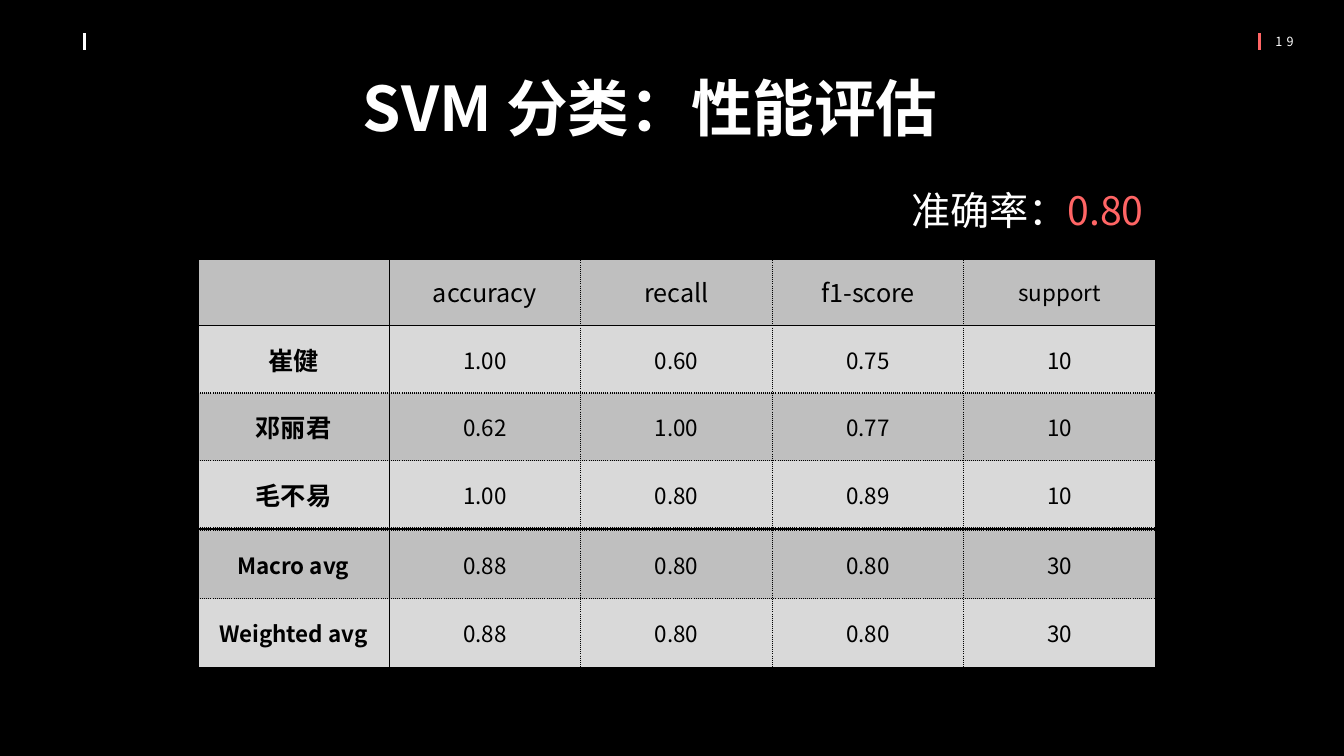
import pptx
import pptx.util
import pptx.dml.color
import pptx.enum.shapes
import pptx.enum.text
import pptx.oxml
import pptx.oxml.ns
from dataclasses import dataclass

Inches = pptx.util.Inches
ALIGN = pptx.enum.text.PP_ALIGN
MIDDLE = pptx.enum.text.MSO_ANCHOR.MIDDLE
GROW = pptx.enum.text.MSO_AUTO_SIZE.SHAPE_TO_FIT_TEXT


@dataclass(frozen=True)
class Theme:
    font: str = "Noto Sans CJK SC"
    black: str = "000000"
    white: str = "FFFFFF"
    coral: str = "FF6565"
    bands: tuple = ("BFBFBF", "D9D9D9")
    title: int = 44
    headline: int = 28
    heading: int = 18
    body: int = 16
    page: int = 9


theme = Theme()


def style(run, size, color, bold=False):
    """Format a run, with the same typeface for Latin and Chinese."""
    run.font.name = theme.font
    run.font.size = pptx.util.Pt(size)
    run.font.bold = bold
    run.font.color.rgb = pptx.dml.color.RGBColor.from_string(color)
    east_asian = pptx.oxml.parse_xml(
        f'<a:ea {pptx.oxml.ns.nsdecls("a")} typeface="{theme.font}"/>')
    run.font._element.find(pptx.oxml.ns.qn("a:latin")).addnext(east_asian)


def border(cell, side, points, dash):
    cell._tc.get_or_add_tcPr().append(pptx.oxml.parse_xml(
        f'<a:ln{side} {pptx.oxml.ns.nsdecls("a")} w="{pptx.util.Pt(points)}">'
        f'<a:solidFill><a:srgbClr val="{theme.black}"/></a:solidFill>'
        f'<a:prstDash val="{dash}"/></a:ln{side}>'))


deck = pptx.Presentation()
deck.slide_width, deck.slide_height = Inches(13.33), Inches(7.5)
slide = deck.slides.add_slide(deck.slide_layouts[5])
slide.background.fill.solid()
slide.background.fill.fore_color.rgb = pptx.dml.color.RGBColor.from_string(theme.black)

# Page header: two ticks and the page number
left_tick, right_tick = 0.84, 12.49
for x, color in ((left_tick, theme.white), (right_tick, theme.coral)):
    tick = slide.shapes.add_connector(
        pptx.enum.shapes.MSO_CONNECTOR.STRAIGHT,
        Inches(x), Inches(0.33), Inches(x), Inches(0.5))
    tick.line.color.rgb = pptx.dml.color.RGBColor.from_string(color)
    tick.line.width = pptx.util.Pt(2.25)
    tick._element.spPr.append(
        pptx.oxml.parse_xml(f'<a:effectLst {pptx.oxml.ns.nsdecls("a")}/>'))

page_number = slide.shapes.add_textbox(
    Inches(right_tick), Inches(0.29), Inches(0.5), Inches(0.25)).text_frame
page_number.text = "19"
page_number.word_wrap = True
page_number.auto_size = GROW
page_number.vertical_anchor = MIDDLE
page_number.paragraphs[0].alignment = ALIGN.CENTER
page_run = page_number.paragraphs[0].runs[0]
style(page_run, theme.page, theme.white)
page_run.font._element.set("spc", "300")

title = slide.shapes.title
title.left, title.top = Inches(3.5), Inches(0.64)
title.width, title.height = Inches(6.33), Inches(0.84)
title.text_frame.text = "SVM 分类：性能评估"
title.text_frame.word_wrap = True
title.text_frame.auto_size = GROW
title.text_frame.vertical_anchor = pptx.enum.text.MSO_ANCHOR.TOP
title.text_frame.paragraphs[0].alignment = ALIGN.LEFT
style(title.text_frame.paragraphs[0].runs[0], theme.title, theme.white, True)

# Scores per class, then the averages in a table of their own
column, table_left = 1.9, 1.96
class_scores = [
    ["", "accuracy", "recall", "f1-score", "support"],
    ["崔健", "1.00", "0.60", "0.75", "10"],
    ["邓丽君", "0.62", "1.00", "0.77", "10"],
    ["毛不易", "1.00", "0.80", "0.89", "10"],
]
average_scores = [
    ["Macro avg", "0.88", "0.80", "0.80", "30"],
    ["Weighted avg", "0.88", "0.80", "0.80", "30"],
]
for scores, top, row_height, has_header in (
        (class_scores, 2.56, 0.67, True), (average_scores, 5.26, 0.68, False)):
    table = slide.shapes.add_table(
        len(scores), len(scores[0]), Inches(table_left), Inches(top),
        Inches(column * len(scores[0])), Inches(row_height * len(scores))).table
    table.first_row = table.horz_banding = False
    for r, row in enumerate(scores):
        table.rows[r].height = Inches(row_height)
        is_header = has_header and r == 0
        for c, value in enumerate(row):
            cell = table.cell(r, c)
            border(cell, "L", 3 if c == 0 else 1, "solid" if c < 2 else "sysDot")
            border(cell, "R", 1, "solid" if c == 0 else "sysDot")
            border(cell, "T", 3 if is_header else 1,
                   "solid" if has_header and r < 2 else "sysDot")
            border(cell, "B", 1, "solid" if is_header else "sysDot")
            cell.fill.solid()
            cell.fill.fore_color.rgb = pptx.dml.color.RGBColor.from_string(
                theme.bands[r % 2])
            cell.vertical_anchor = MIDDLE
            cell.margin_left = cell.margin_right = Inches(0.09)
            cell.margin_top = cell.margin_bottom = Inches(0.04)
            if value:
                cell.text_frame.text = value
                cell.text_frame.paragraphs[0].alignment = ALIGN.CENTER
                is_large = (is_header and value != "support") or (has_header and c == 0)
                style(cell.text_frame.paragraphs[0].runs[0],
                      theme.heading if is_large else theme.body,
                      theme.black, bold=c == 0)

overall = slide.shapes.add_textbox(
    Inches(8.51), Inches(1.8), Inches(3.36), Inches(0.57)).text_frame
overall.word_wrap = True
overall.auto_size = GROW
overall.paragraphs[0].alignment = ALIGN.CENTER
for words, color in (("准确率：", theme.white), ("0.80", theme.coral)):
    run = overall.paragraphs[0].add_run()
    run.text = words
    style(run, theme.headline, color)

deck.save("out.pptx")
